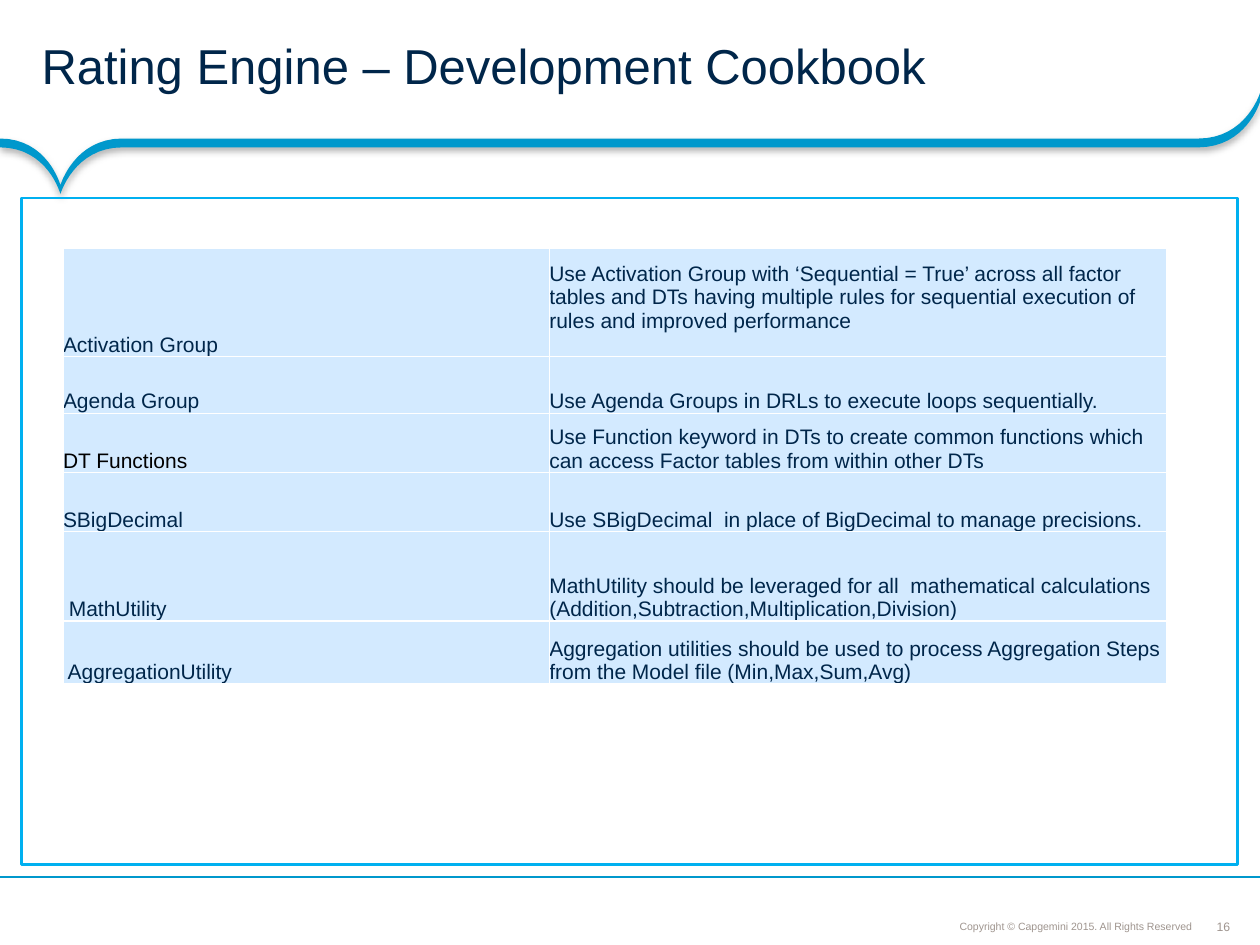
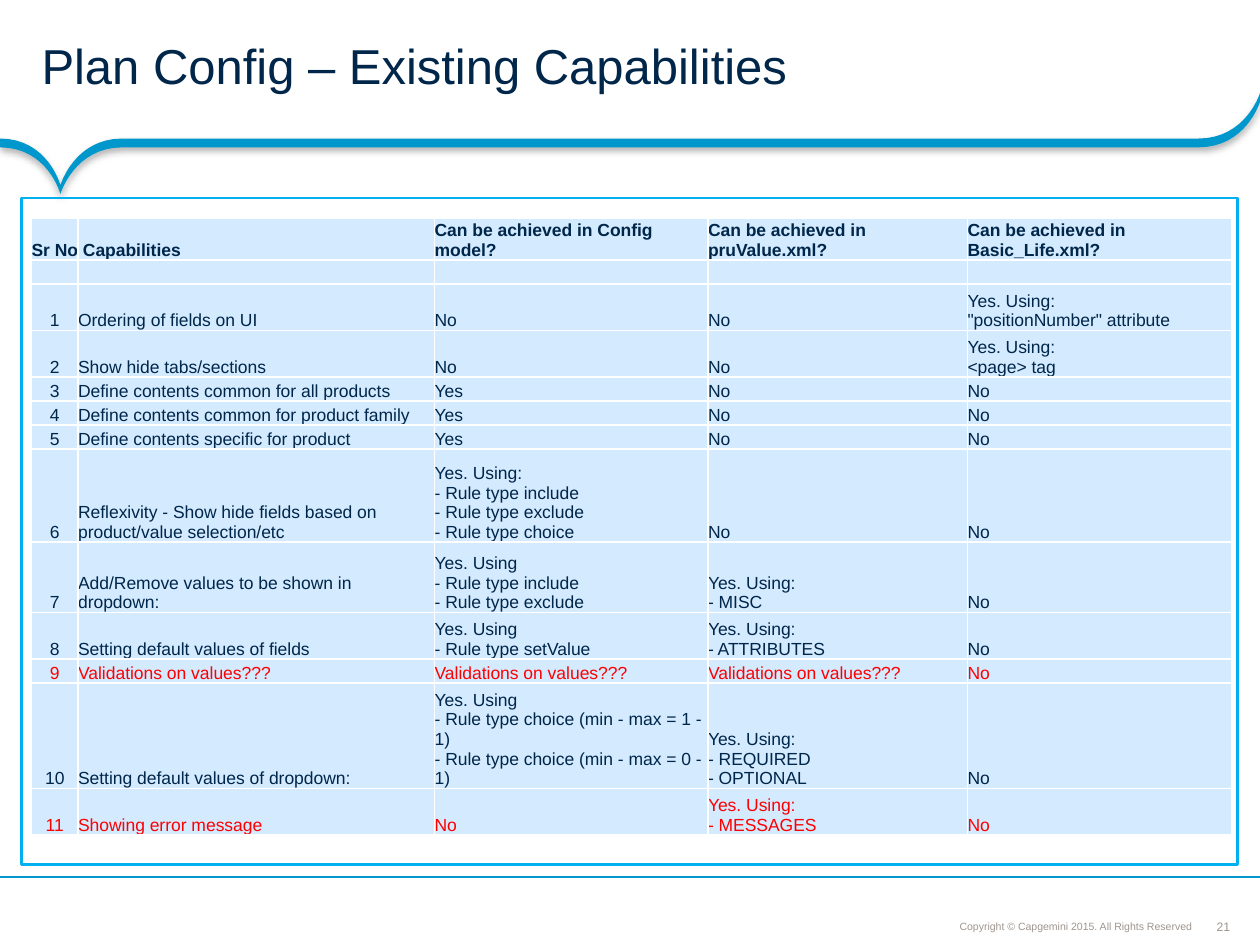
from lxml import etree
from pptx import Presentation
from pptx.dml.color import RGBColor
from pptx.enum.shapes import MSO_CONNECTOR, MSO_SHAPE
from pptx.enum.text import MSO_ANCHOR, PP_ALIGN
from pptx.oxml.ns import qn
from pptx.util import Inches, Pt

FONT = "Arial"
NAVY = RGBColor(0x00, 0x26, 0x4A)
BLUE = RGBColor(0x00, 0x98, 0xCC)
SKY = RGBColor(0x00, 0xB0, 0xF0)
PALE = RGBColor(0xD3, 0xEA, 0xFF)
GREY = RGBColor(0x9F, 0x95, 0x8F)
RED = RGBColor(0xFF, 0x00, 0x00)
BLACK = RGBColor(0x00, 0x00, 0x00)

LEFT, CENTER, RIGHT = PP_ALIGN.LEFT, PP_ALIGN.CENTER, PP_ALIGN.RIGHT
MIDDLE, BOTTOM = MSO_ANCHOR.MIDDLE, MSO_ANCHOR.BOTTOM
RECTANGLE, STRAIGHT = MSO_SHAPE.RECTANGLE, MSO_CONNECTOR.STRAIGHT

COPYRIGHT = "Copyright © Capgemini 2015. All Rights Reserved"

# Ribbon outline: two points are a line end, six are a curve
RIBBON_START = (9.51, 1.1)
RIBBON_STEPS = [
    (0.97, 1.1),
    (0.59, 1.1, 0.48, 1.47, 0.48, 1.47),
    (0.48, 1.47, 0.38, 1.1, 0, 1.1),
    (0, 1.17),
    (0.38, 1.17, 0.48, 1.54, 0.48, 1.54),
    (0.48, 1.54, 0.59, 1.17, 0.97, 1.17),
    (9.51, 1.17),
    (9.89, 1.17, 10, 0.81, 10, 0.81),
    (10, 0.74),
    (10, 0.74, 9.89, 1.1, 9.51, 1.1),
]
CURVE_PARTS = 16

# Rating engine table
COOKBOOK_COLUMNS = [3.86, 4.9]
COOKBOOK_HEIGHTS = [0.86, 0.45, 0.47, 0.47, 0.71, 0.5]
COOKBOOK = [
    ["Activation Group",
     "Use Activation Group with ‘Sequential = True’ across all factor tables and DTs "
     "having multiple rules for sequential execution of rules and improved performance"],
    ["Agenda Group", "Use Agenda Groups in DRLs to execute loops sequentially."],
    ["DT Functions",
     "Use Function keyword in DTs to create common functions which can access "
     "Factor tables from within other DTs"],
    ["SBigDecimal", "Use SBigDecimal  in place of BigDecimal to manage precisions."],
    [" MathUtility",
     "MathUtility should be leveraged for all  mathematical calculations "
     "(Addition,Subtraction,Multiplication,Division)"],
    [" AggregationUtility",
     "Aggregation utilities should be used to process Aggregation Steps from the "
     "Model file (Min,Max,Sum,Avg)"],
]

# Plan config table
CAPABILITY_COLUMNS = [0.37, 2.83, 2.17, 2.06, 2.1]
CAPABILITY_HEIGHTS = [0.31, 0.19, 0.37, 0.37, 0.19, 0.19, 0.19,
                      0.74, 0.56, 0.37, 0.19, 0.78, 0.37]
CAPABILITY_HEADER = ["Sr No", " Capabilities", "Can be achieved in Config model?",
                     "Can be achieved in pruValue.xml?",
                     "Can be achieved in Basic_Life.xml?"]
CAPABILITIES = [
    ["Ordering of fields on UI", "No", "No", 'Yes. Using:\n"positionNumber" attribute'],
    ["Show hide tabs/sections", "No", "No", "Yes. Using:\n<page> tag"],
    ["Define contents common for all products", "Yes", "No", "No"],
    ["Define contents common for product family", "Yes", "No", "No"],
    ["Define contents specific for product", "Yes", "No", "No"],
    ["Reflexivity - Show hide fields based on product/value selection/etc",
     "Yes. Using:\n- Rule type include\n- Rule type exclude\n- Rule type choice",
     "No", "No"],
    ["Add/Remove values to be shown in dropdown:",
     "Yes. Using\n- Rule type include\n- Rule type exclude", "Yes. Using:\n- MISC", "No"],
    ["Setting default values of fields", "Yes. Using\n- Rule type setValue",
     "Yes. Using:\n- ATTRIBUTES", "No"],
    ["Validations on values???"] * 3 + ["No"],
    ["Setting default values of dropdown:",
     "Yes. Using\n- Rule type choice (min - max = 1 - 1)\n"
     "- Rule type choice (min - max = 0 - 1)",
     "Yes. Using:\n- REQUIRED\n- OPTIONAL", "No"],
    ["Showing error message", "No", "Yes. Using:\n- MESSAGES", "No"],
]
OPEN_ROWS = (10, 12)


def write(para, text, size, color, bold=False, align=LEFT):
    """Add the text run by run, with a line break between its lines."""
    para.alignment = align
    for number, line in enumerate(text.split("\n")):
        if number:
            para.add_line_break()
        span = para.add_run()
        span.text = line
        span.font.name = FONT
        span.font.size = Pt(size)
        span.font.bold = bold
        span.font.color.rgb = color


def set_margins(target, left, top, right, bottom):
    target.margin_left, target.margin_top = Inches(left), Inches(top)
    target.margin_right, target.margin_bottom = Inches(right), Inches(bottom)


def add_text(page, place, margins, text, size, color, align=LEFT, anchor=MIDDLE,
             spacing=1.0, wrap=True):
    frame = page.shapes.add_textbox(*map(Inches, place)).text_frame
    frame.word_wrap = wrap
    frame.vertical_anchor = anchor
    set_margins(frame, *margins)
    para = frame.paragraphs[0]
    para.line_spacing = spacing
    write(para, text, size, color, align=align)


def curve_points(start, curve):
    """Points along a cubic curve."""
    corners = [start, curve[:2], curve[2:4], curve[4:]]
    for part in range(1, CURVE_PARTS + 1):
        t = part / CURVE_PARTS
        weights = [(1 - t) ** 3, 3 * t * (1 - t) ** 2, 3 * t * t * (1 - t), t ** 3]
        yield tuple(sum(w * corner[axis] for w, corner in zip(weights, corners))
                    for axis in (0, 1))


def add_ribbon(page):
    points = [RIBBON_START]
    for step in RIBBON_STEPS:
        points.extend([step] if len(step) == 2 else curve_points(points[-1], step))
    points = [(Inches(x), Inches(y)) for x, y in points]
    builder = page.shapes.build_freeform(*points[0])
    builder.add_line_segments(points[1:], close=True)
    ribbon = builder.convert_to_shape()
    ribbon.fill.solid()
    ribbon.fill.fore_color.rgb = BLUE
    ribbon.line.fill.background()
    # Soft shadow straight below
    effects = etree.SubElement(ribbon._element.spPr, qn("a:effectLst"))
    shadow = etree.SubElement(effects, qn("a:outerShdw"), blurRad=str(Pt(4)),
                              dist=str(Pt(2)), dir="5400000", algn="t", rotWithShape="0")
    tint = etree.SubElement(shadow, qn("a:srgbClr"), val=str(BLACK))
    etree.SubElement(tint, qn("a:alpha"), val="31000")


def add_footer(page, number):
    add_text(page, (9.65, 7.29, 0.12, 0.12), (0, 0, 0, 0), number, 7, GREY,
             align=CENTER, wrap=False)
    add_text(page, (6.81, 7.24, 2.69, 0.2), (0.04,) * 4, COPYRIGHT, 6, GREY,
             align=RIGHT, anchor=BOTTOM, spacing=0.9)
    rule = page.shapes.add_connector(STRAIGHT, Inches(10), Inches(6.96), 0, Inches(6.96))
    rule.line.color.rgb = BLUE
    rule.line.width = Pt(0.75)
    etree.SubElement(rule._element.spPr, qn("a:effectLst"))


def add_content_frame(page):
    frame = page.shapes.add_shape(RECTANGLE, Inches(0.17), Inches(1.57),
                                  Inches(9.65), Inches(5.29))
    frame.shadow.inherit = False
    frame.fill.background()
    frame.line.color.rgb = SKY
    frame.line.width = Pt(1.5)


def add_page(deck, title, number):
    page = deck.slides.add_slide(deck.slide_layouts[6])
    add_ribbon(page)
    add_footer(page, number)
    add_text(page, (0, 0, 10, 1.1), (0.33, 0.04, 0.18, 0.04), title, 28, NAVY, spacing=0.85)
    add_content_frame(page)
    return page


def style_cell(cell):
    """White borders, then the pale fill, with no margins."""
    set_margins(cell, 0, 0, 0, 0)
    cell.vertical_anchor = BOTTOM
    properties = cell._tc.get_or_add_tcPr()
    for side in ("a:lnL", "a:lnR", "a:lnT", "a:lnB"):
        border = etree.SubElement(properties, qn(side), w=str(Pt(1)))
        paint = etree.SubElement(border, qn("a:solidFill"))
        etree.SubElement(paint, qn("a:srgbClr"), val="FFFFFF")
    cell.fill.solid()
    cell.fill.fore_color.rgb = PALE


def add_grid(page, left, top, widths, heights, rows, size, look):
    """Draw a table; look(row, column) gives the colour, bold and alignment."""
    table = page.shapes.add_table(len(heights), len(widths), Inches(left), Inches(top),
                                  Inches(sum(widths)), Inches(sum(heights))).table
    table.first_row = table.horz_banding = False
    for column, width in zip(table.columns, widths):
        column.width = Inches(width)
    for row, height in zip(table.rows, heights):
        row.height = Inches(height)
    for r, texts in enumerate(rows):
        for c, text in enumerate(texts):
            cell = table.cell(r, c)
            style_cell(cell)
            para = cell.text_frame.paragraphs[0]
            if text:
                write(para, text, size, *look(r, c))
            else:
                etree.SubElement(para._p, qn("a:endParaRPr"), sz=str(size * 100))
    return table


def cookbook_look(row, column):
    return BLACK if (row, column) == (2, 0) else NAVY, False, LEFT


def capability_look(row, column):
    return RED if row in OPEN_ROWS else NAVY, row == 0, LEFT if column else CENTER


def main():
    deck = Presentation()
    deck.slide_width, deck.slide_height = Inches(10), Inches(7.5)

    # Rating engine
    page = add_page(deck, "Rating Engine – Development Cookbook", "16")
    table = add_grid(page, 0.5, 1.97, COOKBOOK_COLUMNS, COOKBOOK_HEIGHTS, COOKBOOK, 12,
                     cookbook_look)
    table.cell(0, 1).margin_bottom = Inches(0.19)

    # Plan config
    page = add_page(deck, "Plan Config – Existing Capabilities", "21")
    numbered = [[str(n), *texts] for n, texts in enumerate(CAPABILITIES, 1)]
    blank_row = [""] * len(CAPABILITY_COLUMNS)
    add_grid(page, 0.25, 1.73, CAPABILITY_COLUMNS, CAPABILITY_HEIGHTS,
             [CAPABILITY_HEADER, blank_row, *numbered], 10, capability_look)

    deck.save("out.pptx")


if __name__ == "__main__":
    main()
